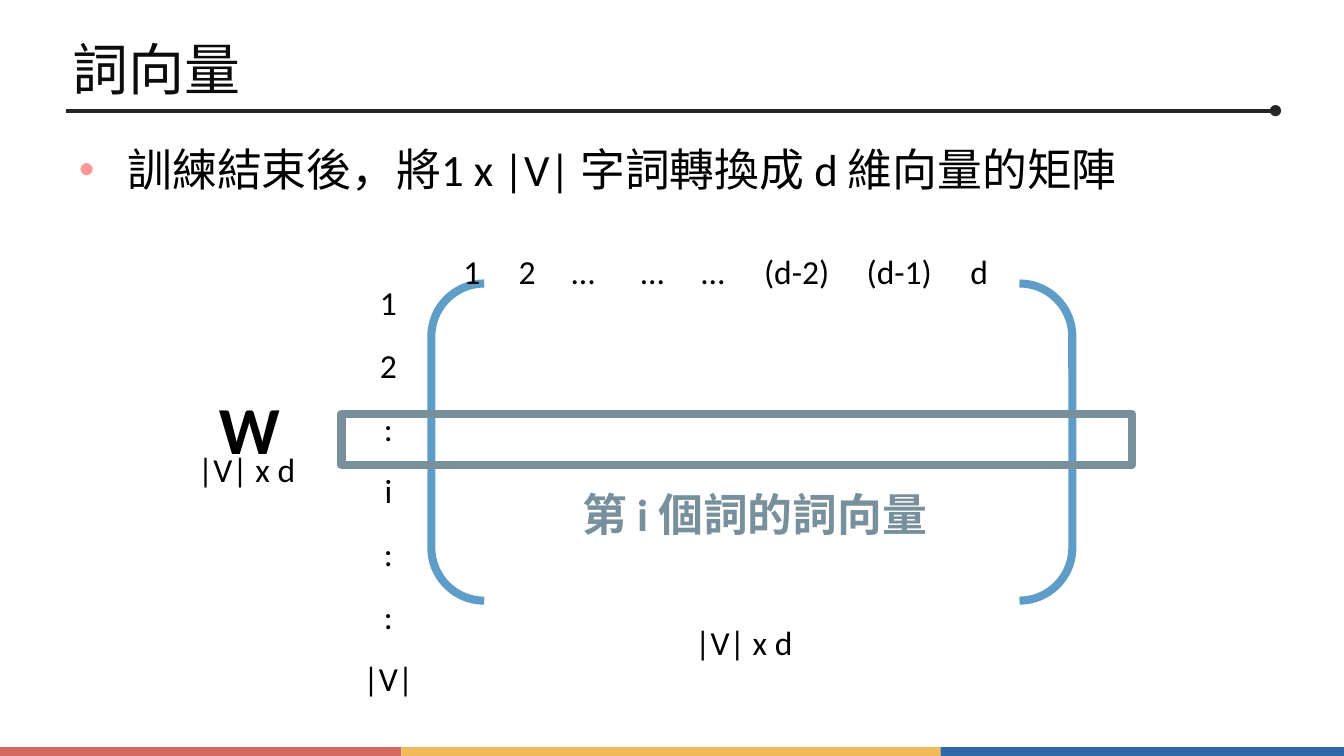
from dataclasses import dataclass

from lxml.etree import SubElement
from pptx import Presentation
from pptx.dml.color import RGBColor
from pptx.enum.shapes import MSO_CONNECTOR, MSO_SHAPE as SHAPE
from pptx.enum.text import MSO_ANCHOR as ANCHOR, MSO_AUTO_SIZE, PP_ALIGN as ALIGN
from pptx.oxml.ns import qn
from pptx.util import Pt


@dataclass(frozen=True)
class Theme:
    font: str = "Calibri"
    title: str = "0C0C0C"
    text: str = "000000"
    rule: str = "262627"
    bullet: str = "FF9999"
    bracket: str = "5D9DC8"
    accent: str = "78909C"
    footer: tuple = ("D66962", "EFBA57", "3068AA")
    title_size: int = 30
    body_size: int = 24
    label_size: int = 18
    symbol_size: int = 36


class SlideBuilder:
    def __init__(self, prs, theme):
        self.theme = theme
        self.s = prs.slides.add_slide(prs.slide_layouts[1])

    def place(self, sp, left, top, width, height):
        sp.left, sp.top, sp.width, sp.height = map(Pt, (left, top, width, height))

    def frame(self, sp, inset_x, inset_y, anchor=ANCHOR.TOP):
        tf = sp.text_frame
        tf.word_wrap = True
        tf.auto_size = MSO_AUTO_SIZE.NONE
        tf.vertical_anchor = anchor
        tf.margin_left = tf.margin_right = Pt(inset_x)
        tf.margin_top = tf.margin_bottom = Pt(inset_y)
        return tf

    def run(self, p, text, size, color, bold=False):
        r = p.add_run()
        r.text = text
        r.font.name = self.theme.font
        r.font.size = Pt(size)
        r.font.bold = bold
        r.font.color.rgb = RGBColor.from_string(color)

    def title(self, text, *box):
        sp = self.s.shapes.title
        self.place(sp, *box)
        p = self.frame(sp, 2, 2, ANCHOR.MIDDLE).paragraphs[0]
        p.alignment = ALIGN.LEFT
        p.line_spacing = 0.8
        self.run(p, text, self.theme.title_size, self.theme.title)

    def bullet(self, text, *box):
        sp = self.s.placeholders[1]
        self.place(sp, *box)
        p = self.frame(sp, 3.6, 3.6).paragraphs[0]
        pPr = p._p.get_or_add_pPr()
        pPr.set("marL", str(Pt(28)))
        pPr.set("indent", str(Pt(-26)))
        clr = SubElement(pPr, qn("a:buClr"))
        SubElement(clr, qn("a:srgbClr"), val=self.theme.bullet)
        SubElement(pPr, qn("a:buFont"), typeface="Arial")
        SubElement(pPr, qn("a:buChar"), char="•")
        p.line_spacing = 0.9
        p.space_before = Pt(0)
        self.run(p, text, self.theme.body_size, self.theme.text)

    def label(self, lines, *box, size=None, color=None, bold=False,
              align=ALIGN.CENTER, gap=0, tabs=()):
        """Write one paragraph per line, with gap points between them."""
        sp = self.s.shapes.add_textbox(*map(Pt, box))
        tf = self.frame(sp, 7.2, 3.6)
        for i, text in enumerate(lines):
            p = tf.add_paragraph() if i else tf.paragraphs[0]
            p.alignment = align
            if i:
                p.space_before = Pt(gap)
            if tabs:
                tab_list = SubElement(p._p.get_or_add_pPr(), qn("a:tabLst"))
                for pos in tabs:
                    SubElement(tab_list, qn("a:tab"), pos=str(Pt(pos)), algn="l")
            self.run(p, text, size or self.theme.label_size,
                     color or self.theme.text, bold)

    def shape(self, kind, *box, fill=None, line=None, weight=0):
        sp = self.s.shapes.add_shape(kind, *map(Pt, box))
        sp.shadow.inherit = False
        if fill:
            sp.fill.solid()
            sp.fill.fore_color.rgb = RGBColor.from_string(fill)
        else:
            sp.fill.background()
        if line:
            sp.line.color.rgb = RGBColor.from_string(line)
            sp.line.width = Pt(weight)
        else:
            sp.line.fill.background()

    def dotted_rule(self, x1, x2, y):
        """Draw a horizontal rule that ends in a dot."""
        c = self.s.shapes.add_connector(MSO_CONNECTOR.STRAIGHT, *map(Pt, (x1, y, x2, y)))
        c.line.color.rgb = RGBColor.from_string(self.theme.rule)
        c.line.width = Pt(2)
        SubElement(c.line._get_or_add_ln(), qn("a:tailEnd"), type="oval")
        SubElement(c._element.spPr, qn("a:effectLst"))


def main():
    theme = Theme()
    prs = Presentation()
    prs.slide_width, prs.slide_height = Pt(720), Pt(405)
    b = SlideBuilder(prs, theme)

    edges = (0, 215, 504, 720)
    for left, right, color in zip(edges, edges[1:], theme.footer):
        b.shape(SHAPE.RECTANGLE, left, 400.2, right - left, 4.8, fill=color)
    b.dotted_rule(35.4, 683.3, 59.3)
    b.title("詞向量", 36.7, 17.3, 460.8, 44.6)
    b.bullet("訓練結束後，將1 x |V| 字詞轉換成 d 維向量的矩陣", 36.7, 75.6, 671, 45.4)

    size_text = "|V| x d"
    b.label([size_text], 86.4, 236.9, 91.4, 21.6)
    b.label(["W"], 104.4, 203.8, 58.3, 38.2, size=theme.symbol_size, bold=True)

    b.shape(SHAPE.DOUBLE_BRACKET, 231.1, 151.9, 343.4, 169.9,
            line=theme.bracket, weight=4.33)
    b.label([size_text], 346.3, 329.8, 104.4, 21.6)
    b.label(["1", "2", ":", "i", ":", ":", "|V|"], 187.2, 147.6, 41.8, 174.2, gap=12)
    columns = ("1", "2", "…", "…", "…", "(d-2)", "(d-1)", "d")
    b.label(["\t".join(columns)], 241.2, 131, 315.4, 21.6, align=ALIGN.LEFT,
            tabs=(29.5, 58, 95, 127.5, 161, 216, 271.5))

    b.shape(SHAPE.RECTANGLE, 182.9, 221.8, 423.4, 27.4, line=theme.accent, weight=4.5)
    b.label(["第 i 個詞的詞向量"], 293.8, 257, 221, 27.4,
            size=theme.body_size, color=theme.accent, bold=True)

    prs.save("out.pptx")


if __name__ == "__main__":
    main()
